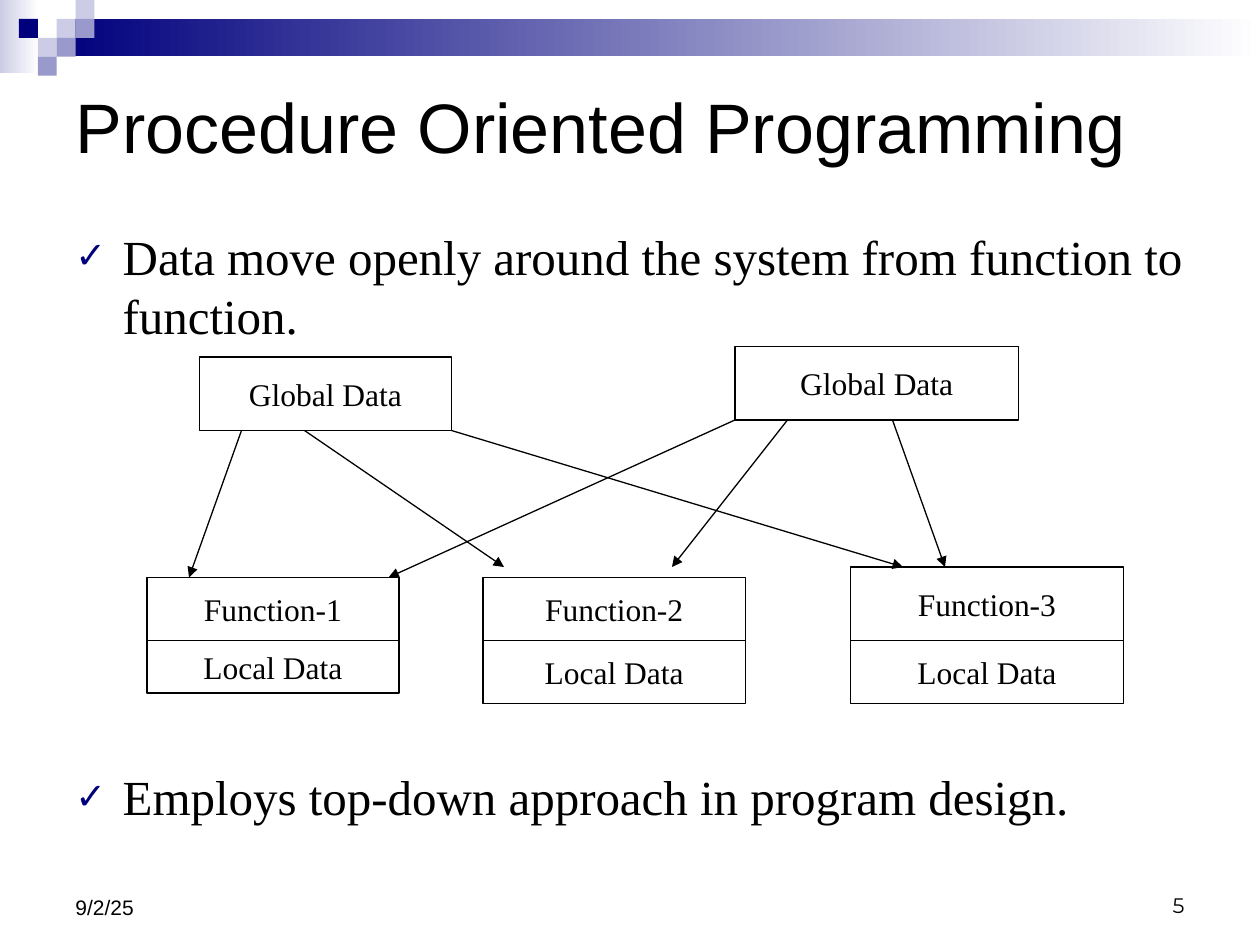
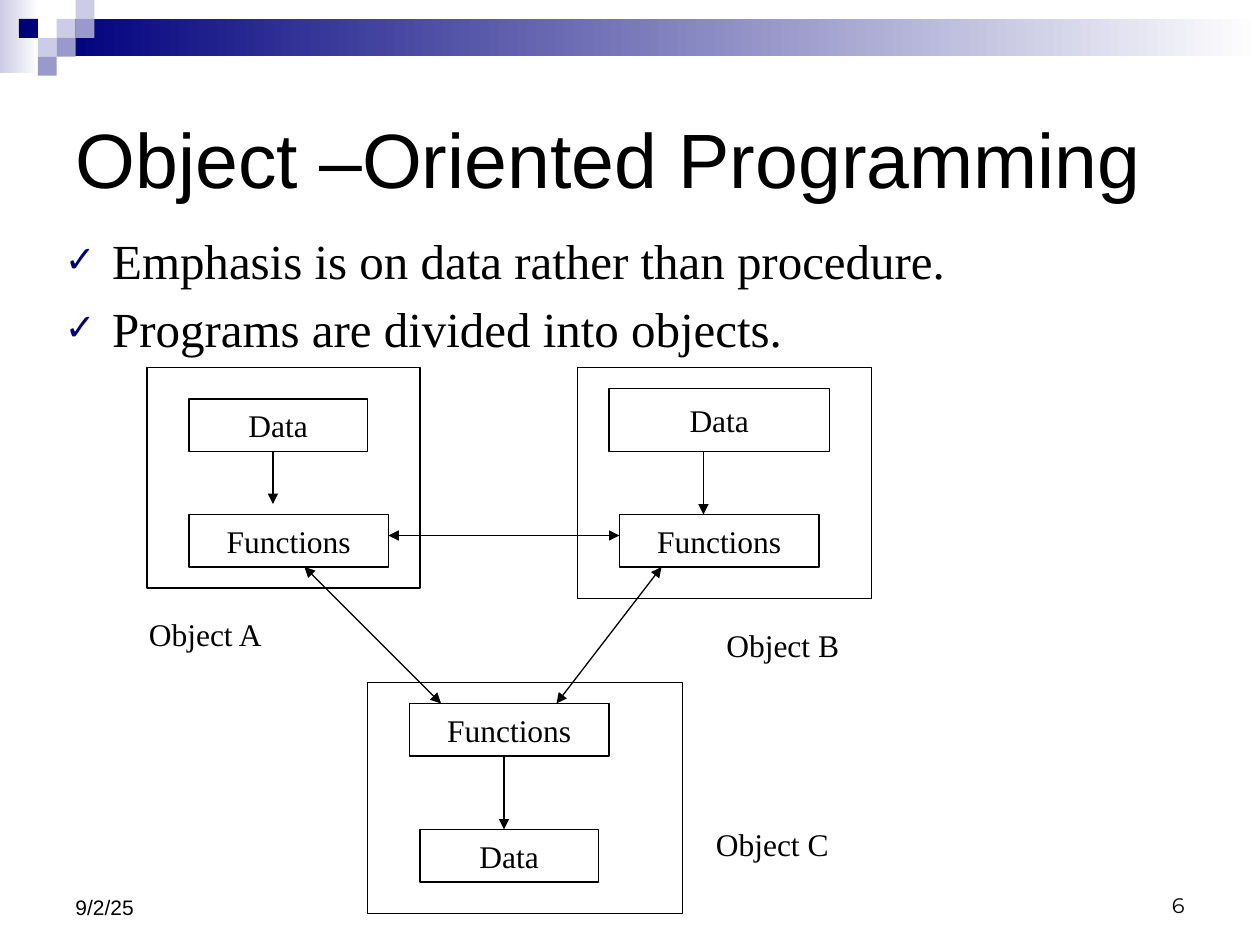
from dataclasses import dataclass

from lxml.etree import SubElement
from pptx import Presentation
from pptx.dml.color import RGBColor
from pptx.enum.shapes import MSO_CONNECTOR, MSO_SHAPE
from pptx.enum.text import MSO_ANCHOR, MSO_AUTO_SIZE, PP_ALIGN
from pptx.oxml.ns import qn
from pptx.shapes.autoshape import Shape
from pptx.slide import Slide, SlideLayout
from pptx.text.text import TextFrame
from pptx.util import Pt


@dataclass(frozen=True)
class Theme:
    ink: str = "000000"
    paper: str = "FFFFFF"
    navy: str = "00007D"
    lilac: str = "9999CC"
    pale: str = "CCCCE6"
    heading_font: str = "Arial"
    body_font: str = "Times New Roman"
    number_font: str = "Montserrat"
    bullet_size: float = 28
    diagram_size: float = 18
    footer_size: float = 12
    line_width: float = 0.75
    tile: float = 10.8
    bullet_indent: float = 27


@dataclass(frozen=True)
class Area:
    left: float
    top: float
    width: float
    height: float

    def lengths(self) -> tuple[Pt, Pt, Pt, Pt]:
        return Pt(self.left), Pt(self.top), Pt(self.width), Pt(self.height)


@dataclass(frozen=True)
class Box:
    area: Area
    text: str = ""


@dataclass(frozen=True)
class Arrow:
    start: tuple[float, float]
    end: tuple[float, float]
    two_way: bool = False


@dataclass(frozen=True)
class Bullet:
    text: str
    space_before: float = 5.5


@dataclass(frozen=True)
class Page:
    number: str
    title: str
    title_size: float
    title_area: Area
    bullets_area: Area
    bullets: list[Bullet]
    boxes: list[Box]
    arrows: list[Arrow]
    labels: list[Box]


THEME = Theme()
DATE = "9/2/25"

PROCEDURE = Page(
    number="5",
    title="Procedure Oriented Programming",
    title_size=40,
    title_area=Area(36, 36, 666, 72),
    bullets_area=Area(36, 126, 660, 366),
    bullets=[
        Bullet("Data move openly around the system from function to function."),
        Bullet("Employs top-down approach in program design.", 241.5),
    ],
    boxes=[
        Box(Area(114, 204, 144, 42), "Global Data"),
        Box(Area(420, 198, 162, 42), "Global Data"),
        Box(Area(84, 330, 144, 36), "Function-1"),
        Box(Area(276, 330, 150, 36), "Function-2"),
        Box(Area(486, 324, 156, 42), "Function-3"),
        Box(Area(84, 366, 144, 30), "Local Data"),
        Box(Area(276, 366, 150, 36), "Local Data"),
        Box(Area(486, 366, 156, 36), "Local Data"),
    ],
    arrows=[
        Arrow((138, 246), (108, 330)),
        Arrow((174, 246), (288, 324)),
        Arrow((258, 246), (516, 324)),
        Arrow((420, 240), (222, 330)),
        Arrow((450, 240), (384, 324)),
        Arrow((510, 240), (540, 324)),
    ],
    labels=[],
)

OBJECTS = Page(
    number="6",
    title="Object –Oriented Programming",
    title_size=44,
    title_area=Area(36, 36, 648, 108),
    bullets_area=Area(30, 128, 660, 396),
    bullets=[
        Bullet("Emphasis is on data rather than procedure."),
        Bullet("Programs are divided into objects."),
    ],
    boxes=[
        Box(Area(84, 210, 156, 126)),
        Box(Area(108, 228, 102, 30), "Data"),
        Box(Area(108, 294, 114, 30), "Functions"),
        Box(Area(330, 210, 168, 132)),
        Box(Area(348, 222, 126, 36), "Data"),
        Box(Area(354, 294, 114, 30), "Functions"),
        Box(Area(210, 390, 180, 132)),
        Box(Area(234, 402, 114, 30), "Functions"),
        Box(Area(240, 474, 102, 30), "Data"),
    ],
    arrows=[
        Arrow((156, 258), (156, 288)),
        Arrow((402, 258), (402, 294)),
        Arrow((288, 432), (288, 474)),
        Arrow((222, 306), (354, 306), two_way=True),
        Arrow((174, 324), (252, 402), two_way=True),
        Arrow((378, 324), (318, 402), two_way=True),
    ],
    labels=[
        Box(Area(78, 348, 108, 28.8), "Object A"),
        Box(Area(408, 354, 138, 28.8), "Object B"),
        Box(Area(402, 468, 138, 28.8), "Object C"),
    ],
)


def color(value: str) -> RGBColor:
    return RGBColor.from_string(value)


def write(frame: TextFrame, *lines: str, size: float, font: str = THEME.body_font,
          align: PP_ALIGN = PP_ALIGN.LEFT, anchor: MSO_ANCHOR = MSO_ANCHOR.TOP,
          wrap: bool = True) -> None:
    frame.word_wrap = wrap
    frame.auto_size = MSO_AUTO_SIZE.NONE
    frame.vertical_anchor = anchor
    frame.text = "\n".join(lines)
    for paragraph in frame.paragraphs:
        paragraph.alignment = align
        for run in paragraph.runs:
            run.font.name = font
            run.font.size = Pt(size)
            run.font.color.rgb = color(THEME.ink)


def draw_rectangle(slide: Slide, area: Area, fill: str, fade_to: str = "") -> Shape:
    rectangle = slide.shapes.add_shape(MSO_SHAPE.RECTANGLE, *area.lengths())
    rectangle.shadow.inherit = False
    rectangle.line.fill.background()
    if fade_to:
        rectangle.fill.gradient()
        rectangle.fill.gradient_angle = 0
        for stop, shade in zip(rectangle.fill.gradient_stops, (fill, fade_to)):
            stop.color.rgb = color(shade)
    else:
        rectangle.fill.solid()
        rectangle.fill.fore_color.rgb = color(fill)
    return rectangle


def draw_box(slide: Slide, box: Box) -> None:
    outlined = draw_rectangle(slide, box.area, THEME.paper)
    outlined.line.color.rgb = color(THEME.ink)
    outlined.line.width = Pt(THEME.line_width)
    if box.text:
        write(outlined.text_frame, box.text, size=THEME.diagram_size,
              align=PP_ALIGN.CENTER, anchor=MSO_ANCHOR.MIDDLE, wrap=False)


def draw_arrow(slide: Slide, arrow: Arrow) -> None:
    link = slide.shapes.add_connector(
        MSO_CONNECTOR.STRAIGHT, *(Pt(value) for value in arrow.start + arrow.end))
    link.line.color.rgb = color(THEME.ink)
    link.line.width = Pt(THEME.line_width)
    properties = link.element.spPr
    outline = properties.find(qn("a:ln"))
    if arrow.two_way:
        SubElement(outline, qn("a:headEnd"), type="triangle")
    SubElement(outline, qn("a:tailEnd"), type="triangle")
    SubElement(properties, qn("a:effectLst"))


def draw_text(slide: Slide, area: Area, *lines: str, **style) -> TextFrame:
    frame = slide.shapes.add_textbox(*area.lengths()).text_frame
    write(frame, *lines, **style)
    return frame


def draw_bullets(slide: Slide, area: Area, bullets: list[Bullet]) -> None:
    frame = draw_text(slide, area, *(bullet.text for bullet in bullets),
                      size=THEME.bullet_size)
    for paragraph, bullet in zip(frame.paragraphs, bullets):
        paragraph.space_before = Pt(bullet.space_before)
        properties = paragraph._p.get_or_add_pPr()
        properties.set("marL", str(Pt(THEME.bullet_indent)))
        properties.set("indent", str(-Pt(THEME.bullet_indent)))
        tint = SubElement(properties, qn("a:buClr"))
        SubElement(tint, qn("a:srgbClr"), val=THEME.navy)
        SubElement(properties, qn("a:buSzPct"), val="75000")
        SubElement(properties, qn("a:buFont"), typeface=THEME.heading_font)
        SubElement(properties, qn("a:buChar"), char="✓")


def decorate_layout(layout: SlideLayout, slide: Slide) -> None:
    for placeholder in list(layout.placeholders)[1:]:
        layout.shapes.element.remove(placeholder.element)
    tile = THEME.tile
    band = [
        draw_rectangle(slide, Area(0, 0, 22.3, 41.8), THEME.pale, THEME.paper),
        draw_rectangle(slide, Area(3 * tile, tile, 720 - 3 * tile, 21.3),
                       THEME.navy, THEME.paper),
    ]
    tiles = [
        (3, 1, THEME.pale), (4, 0, THEME.pale), (4, 1, THEME.lilac),
        (2, 2, THEME.pale), (1, 1, THEME.navy), (3, 2, THEME.lilac),
        (2, 3, THEME.lilac),
    ]
    for column, row, shade in tiles:
        square = Area(column * tile, row * tile, tile, tile)
        band.append(draw_rectangle(slide, square, shade))
    for piece in band:
        layout.shapes.element.append(piece.element)


def fill_slide(slide: Slide, page: Page) -> None:
    title = slide.shapes.title
    title.left, title.top, title.width, title.height = page.title_area.lengths()
    write(title.text_frame, page.title, size=page.title_size,
          font=THEME.heading_font, anchor=MSO_ANCHOR.MIDDLE)
    draw_bullets(slide, page.bullets_area, page.bullets)
    for box in page.boxes:
        draw_box(slide, box)
    for arrow in page.arrows:
        draw_arrow(slide, arrow)
    for label in page.labels:
        draw_text(slide, label.area, label.text, size=THEME.diagram_size)
    draw_text(slide, Area(36, 492, 168, 37), DATE, size=THEME.footer_size,
              font=THEME.heading_font, anchor=MSO_ANCHOR.BOTTOM)
    draw_text(slide, Area(516, 492, 168, 36), page.number, size=THEME.footer_size,
              font=THEME.number_font, align=PP_ALIGN.RIGHT, anchor=MSO_ANCHOR.BOTTOM)


def main() -> None:
    deck = Presentation()
    deck.slide_width, deck.slide_height = Pt(720), Pt(540)
    title_only = deck.slide_layouts[5]
    pages = [PROCEDURE, OBJECTS]
    slides = [deck.slides.add_slide(title_only) for _ in pages]
    decorate_layout(title_only, slides[0])
    for slide, page in zip(slides, pages):
        fill_slide(slide, page)
    deck.save("out.pptx")


if __name__ == "__main__":
    main()
